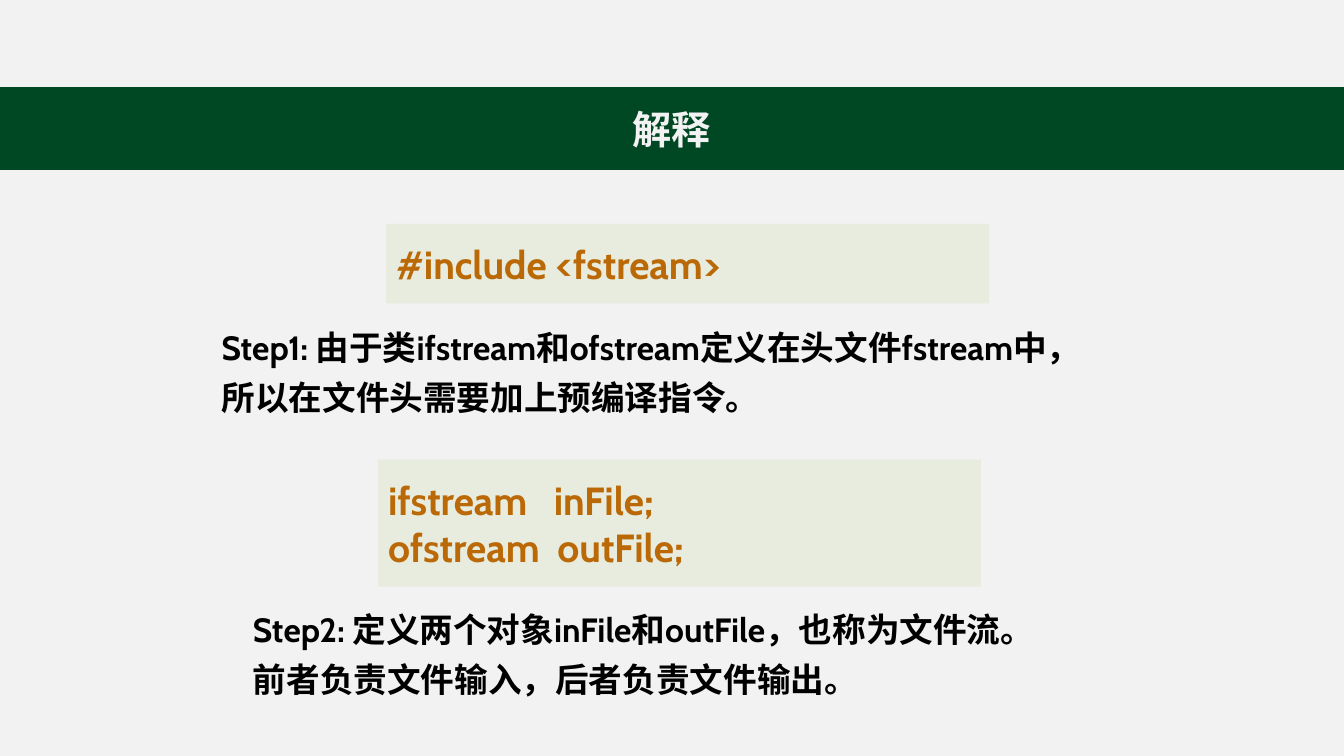
import pptx
import pptx.dml.color
import pptx.enum.shapes
import pptx.enum.text
import pptx.oxml.ns
import pptx.oxml.xmlchemy
import pptx.util

Inches = pptx.util.Inches
OxmlElement = pptx.oxml.xmlchemy.OxmlElement
PP_ALIGN = pptx.enum.text.PP_ALIGN
COLORS = {"page": "F2F2F2", "band": "004723", "panel": "8AB833",
          "code": "BA6906", "text": "000000"}
LATIN, CJK = "Cabin", "Noto Sans CJK SC"


def rgb(name):
    return pptx.dml.color.RGBColor.from_string(COLORS[name])


def write(tf, text, size, color, latin=LATIN, align=PP_ALIGN.LEFT,
          spacing=1.0, wrap=True):
    """Fill a text frame, one paragraph per line, in bold."""
    tf.text = text
    tf.word_wrap = wrap
    tf.vertical_anchor = pptx.enum.text.MSO_ANCHOR.MIDDLE
    for p in tf.paragraphs:
        p.alignment = align
        p.line_spacing = spacing
        for r in p.runs:
            r.font.size = pptx.util.Pt(size)
            r.font.bold = True
            r.font.name = latin
            r.font.color.rgb = rgb(color)
            ea = OxmlElement("a:ea")
            ea.set("typeface", CJK)
            r.font._element.find(pptx.oxml.ns.qn("a:latin")).addnext(ea)


def add_title_band(slide, text, left, top, width, height):
    sp = slide.shapes.title
    sp.left, sp.top = Inches(left), Inches(top)
    sp.width, sp.height = Inches(width), Inches(height)
    sp.fill.solid()
    sp.fill.fore_color.rgb = rgb("band")
    sp.line.color.rgb = rgb("band")
    sp.line.width = pptx.util.Pt(1)
    write(sp.text_frame, text, 28, "page", CJK, PP_ALIGN.CENTER)


def add_code_panel(slide, code, left, top, width, height):
    sp = slide.shapes.add_shape(
        pptx.enum.shapes.MSO_SHAPE.RECTANGLE,
        Inches(left), Inches(top), Inches(width), Inches(height))
    sp.shadow.inherit = False
    sp.fill.solid()
    sp.fill.fore_color.rgb = rgb("panel")
    alpha = OxmlElement("a:alpha")
    alpha.set("val", "10000")
    sp._element.spPr.find(".//" + pptx.oxml.ns.qn("a:srgbClr")).append(alpha)
    sp.line.fill.background()
    write(sp.text_frame, code, 28, "code")


def add_step(slide, text, left, top, width, height):
    sp = slide.shapes.add_textbox(
        Inches(left), Inches(top), Inches(width), Inches(height))
    write(sp.text_frame, text, 24, "text", spacing=1.25, wrap=False)


def build_slide(prs):
    slide = prs.slides.add_slide(prs.slide_layouts[5])
    slide.background.fill.solid()
    slide.background.fill.fore_color.rgb = rgb("page")
    add_title_band(slide, "解释", 0, 0.87, 13.33, 0.81)
    add_code_panel(slide, "#include <fstream>", 3.83, 2.22, 5.98, 0.79)
    add_step(slide, "Step1: 由于类ifstream和ofstream定义在头文件fstream中，\n"
                    "所以在文件头需要加上预编译指令。", 2.1, 3.17, 9.06, 0.94)
    add_code_panel(slide, "ifstream   inFile;\nofstream  outFile;",
                   3.75, 4.56, 5.98, 1.26)
    add_step(slide, "Step2: 定义两个对象inFile和outFile，也称为文件流。\n"
                    "前者负责文件输入，后者负责文件输出。", 2.41, 5.97, 8.19, 0.94)


def main():
    prs = pptx.Presentation()
    prs.slide_width, prs.slide_height = Inches(13.33), Inches(7.5)
    build_slide(prs)
    prs.save("out.pptx")


if __name__ == "__main__":
    main()
